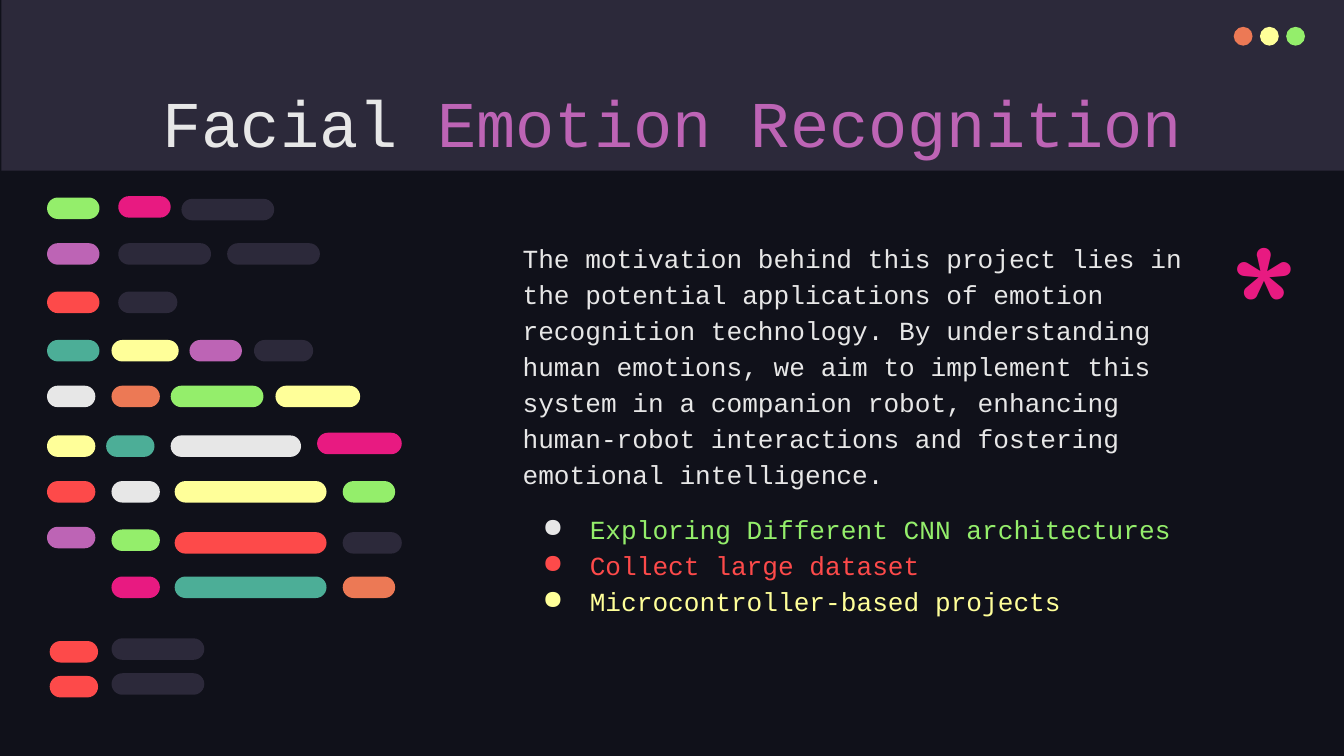
from dataclasses import dataclass

from lxml import etree
from pptx import Presentation, util as u
from pptx.dml.color import RGBColor
from pptx.enum import shapes, text
from pptx.oxml.ns import qn


@dataclass(frozen=True)
class Theme:
    night: str = "10111A"
    slate: str = "2C293A"
    white: str = "E7E7E7"
    purple: str = "BD64B5"
    green: str = "94EE6B"
    pink: str = "E81A81"
    red: str = "FD4A4A"
    teal: str = "4CAE97"
    yellow: str = "FFFF99"
    orange: str = "EC7955"
    mono: str = "Courier New"
    display: str = "Comfortaa"
    title_size: int = 35
    body_size: int = 14
    mark_size: int = 96


T = Theme()
WIDTH = 10
HEIGHT = WIDTH * 9 / 16
BAR_HEIGHT = 0.16
DOT, DOT_LEFT, DOT_TOP, DOT_RIGHT = 0.14, 9.18, 0.2, 9.57
DOT_STEP = (DOT_RIGHT - DOT_LEFT) / 2

# Bar widths, and the left edges of the code columns
XS, S, M, L, XL, XXL = 0.36, 0.39, 0.44, 0.63, 0.69, 1.13
C1, C2, C3, C4 = 0.35, 0.83, 1.3, 2.55
TAB = 0.88

# Each code line: top, then bars as (left, width, colour, shift down)
CODE_LINES = [
    (1.47, [(C1, S, T.green, 0), (TAB, S, T.pink, -0.01), (1.35, XL, T.slate, 0.01)]),
    (1.81, [(C1, S, T.purple, 0), (TAB, XL, T.slate, 0), (1.69, XL, T.slate, 0)]),
    (2.17, [(C1, S, T.red, 0), (TAB, M, T.slate, 0)]),
    (2.53, [(C1, S, T.teal, 0), (C2, 0.5, T.yellow, 0), (1.41, S, T.purple, 0),
            (1.89, M, T.slate, 0)]),
    (2.87, [(C1, XS, T.white, 0), (C2, XS, T.orange, 0), (1.27, XL, T.green, 0),
            (2.05, L, T.yellow, 0)]),
    (3.24, [(C1, XS, T.yellow, 0), (0.79, XS, T.teal, 0), (1.27, 0.97, T.white, 0),
            (2.36, L, T.pink, -0.02)]),
    (3.58, [(C1, XS, T.red, 0), (C2, XS, T.white, 0), (C3, XXL, T.yellow, 0),
            (C4, S, T.green, 0)]),
    (3.92, [(C1, XS, T.purple, 0), (C2, XS, T.green, 0.02), (C3, XXL, T.red, 0.04),
            (C4, M, T.slate, 0.04)]),
    (4.29, [(C2, XS, T.pink, 0), (C3, XXL, T.teal, 0), (C4, S, T.orange, 0)]),
    (4.77, [(0.37, XS, T.red, 0), (C2, XL, T.slate, -0.02)]),
    (5.03, [(0.37, XS, T.red, 0), (C2, XL, T.slate, -0.02)]),
]

MOTIVATION = (
    "The motivation behind this project lies in the potential applications of "
    "emotion recognition technology. By understanding human emotions, we aim to "
    "implement this system in a companion robot, enhancing human-robot "
    "interactions and fostering emotional intelligence."
)
# Goal, text colour, bullet colour
GOALS = [
    ("Exploring Different CNN architectures", T.green, T.white),
    ("Collect large dataset", T.red, T.red),
    ("Microcontroller-based projects", T.yellow, T.yellow),
]


def rgb(colour):
    return RGBColor.from_string(colour)


def inches(*lengths):
    return [u.Inches(length) for length in lengths]


def add_block(parent, kind, box, colour):
    sp = parent.add_shape(kind, *inches(*box))
    sp.shadow.inherit = False
    sp.fill.solid()
    sp.fill.fore_color.rgb = rgb(colour)
    sp.line.fill.background()
    return sp


def add_text_box(s, box):
    tf = s.shapes.add_textbox(*inches(*box)).text_frame
    tf.word_wrap = True
    tf.vertical_anchor = text.MSO_ANCHOR.TOP
    tf.margin_left = tf.margin_right = tf.margin_top = tf.margin_bottom = u.Inches(0.1)
    return tf


def style(r, size, colour, font=T.mono):
    r.font.size = u.Pt(size)
    r.font.name = font
    r.font.color.rgb = rgb(colour)


def add_bullet(p, colour):
    pPr = p._p.get_or_add_pPr()
    pPr.set("marL", str(u.Inches(0.5)))
    pPr.set("indent", str(u.Inches(-0.35)))
    bu_clr = etree.SubElement(pPr, qn("a:buClr"))
    etree.SubElement(bu_clr, qn("a:srgbClr"), val=colour)
    etree.SubElement(pPr, qn("a:buChar"), char="●")


def add_header(s):
    add_block(s.shapes, shapes.MSO_SHAPE.RECTANGLE, (0.01, 0, WIDTH, 1.27), T.slate)
    dots = s.shapes.add_group_shape().shapes
    for i, colour in enumerate((T.orange, T.yellow, T.green)):
        box = (DOT_LEFT + i * DOT_STEP, DOT_TOP, DOT, DOT)
        add_block(dots, shapes.MSO_SHAPE.OVAL, box, colour)


def add_title(s):
    p = add_text_box(s, (0.79, 0.51, 8.43, 0.63)).paragraphs[0]
    p.alignment = text.PP_ALIGN.CENTER
    for words, colour in (("Facial ", T.white), ("Emotion Recognition", T.purple)):
        r = p.add_run()
        r.text = words
        style(r, T.title_size, colour)


def add_body(s):
    tf = add_text_box(s, (3.79, 1.67, 5.43, 3.36))
    tf.text = MOTIVATION
    tf.paragraphs[0].line_spacing = 1.15
    style(tf.paragraphs[0].runs[0], T.body_size, T.white)
    for i, (goal, colour, bullet_colour) in enumerate(GOALS):
        p = tf.add_paragraph()
        p.text = goal
        p.line_spacing = 1.15
        p.space_before = u.Pt(0 if i else 10)
        add_bullet(p, bullet_colour)
        style(p.runs[0], T.body_size, colour)


def add_code_bars(s):
    bars = s.shapes.add_group_shape().shapes
    for top, line in CODE_LINES:
        for left, width, colour, shift in line:
            box = (left, top + shift, width, BAR_HEIGHT)
            bar = add_block(bars, shapes.MSO_SHAPE.ROUNDED_RECTANGLE, box, colour)
            bar.adjustments[0] = 0.5


def add_asterisk(s):
    tf = add_text_box(s, (9.05, 1.46, 0.57, 0.87))
    tf.text = "*"
    style(tf.paragraphs[0].runs[0], T.mark_size, T.pink, T.display)


def main():
    prs = Presentation()
    prs.slide_width, prs.slide_height = inches(WIDTH, HEIGHT)
    s = prs.slides.add_slide(prs.slide_layouts[6])
    s.background.fill.solid()
    s.background.fill.fore_color.rgb = rgb(T.night)

    add_header(s)
    add_title(s)
    add_body(s)
    add_code_bars(s)
    add_asterisk(s)
    prs.save("out.pptx")


if __name__ == "__main__":
    main()
